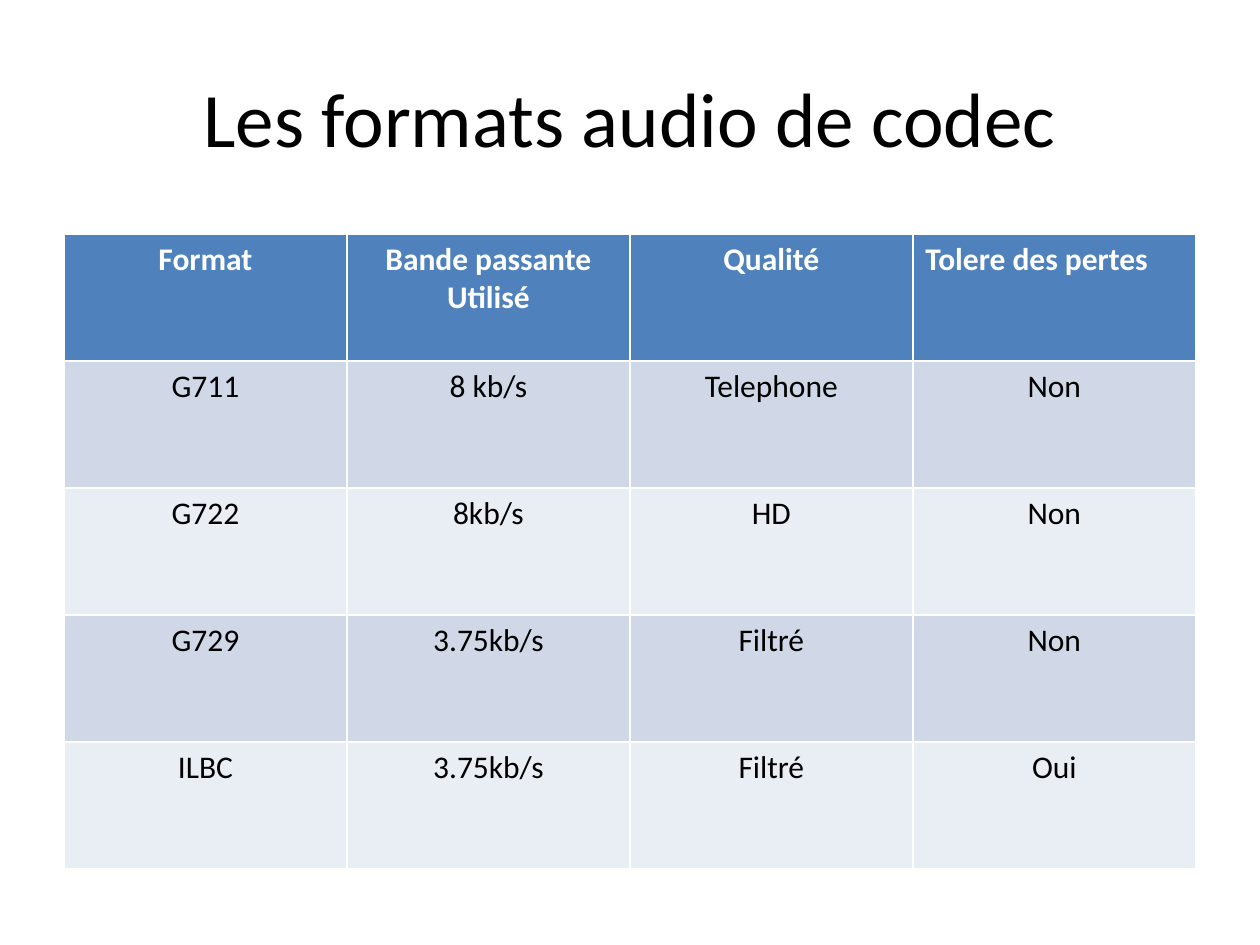
from pptx import Presentation
from pptx.dml.color import RGBColor
from pptx.enum.text import MSO_ANCHOR, PP_ALIGN
from pptx.util import Emu, Pt

WHITE = RGBColor(0xFF, 0xFF, 0xFF)
BLACK = RGBColor(0x00, 0x00, 0x00)
HEADER_BLUE = RGBColor(0x4F, 0x81, 0xBD)
BAND_DARK = RGBColor(0xD0, 0xD8, 0xE8)
BAND_LIGHT = RGBColor(0xE9, 0xED, 0xF4)

FONT = "Calibri"
PX_PER_INCH = 126
TITLE_BOX = (63, 38, 1134, 157)
TABLE_BOX = (64, 234, 1132, 635)

CODECS = [
    ("Format", "Bande passante Utilisé", "Qualité", "Tolere des pertes"),
    ("G711", "8 kb/s", "Telephone", "Non"),
    ("G722", "8kb/s", "HD", "Non"),
    ("G729", "3.75kb/s", "Filtré", "Non"),
    ("ILBC", "3.75kb/s", "Filtré", "Oui"),
]


def px(length):
    return Emu(round(length * 914400 / PX_PER_INCH))


def format_paragraph(paragraph, size, color, align, bold=False):
    paragraph.alignment = align
    font = paragraph.font
    font.name, font.size, font.bold = FONT, Pt(size), bold
    font.color.rgb = color


def place_title(slide, box, text):
    title = slide.shapes.title
    title.left, title.top, title.width, title.height = map(px, box)
    title.text_frame.text = text
    title.text_frame.vertical_anchor = MSO_ANCHOR.MIDDLE
    format_paragraph(title.text_frame.paragraphs[0], 44, BLACK, PP_ALIGN.CENTER)


def place_codec_table(slide, box, rows):
    """Fill the box with equal cells; the default table style draws the white rules."""
    table = slide.shapes.add_table(len(rows), len(rows[0]), *map(px, box)).table
    for r, row in enumerate(rows):
        is_header = r == 0
        fill = HEADER_BLUE if is_header else (BAND_LIGHT, BAND_DARK)[r % 2]
        for c, text in enumerate(row):
            cell = table.cell(r, c)
            cell.fill.solid()
            cell.fill.fore_color.rgb = fill
            cell.text = text
            is_last_header = is_header and c == len(row) - 1
            format_paragraph(
                cell.text_frame.paragraphs[0], 18,
                WHITE if is_header else BLACK,
                PP_ALIGN.LEFT if is_last_header else PP_ALIGN.CENTER,
                bold=is_header,
            )


def main():
    deck = Presentation()
    deck.slide_width, deck.slide_height = px(1260), px(945)
    title_only = deck.slide_layouts[5]
    slide = deck.slides.add_slide(title_only)
    place_title(slide, TITLE_BOX, "Les formats audio de codec")
    place_codec_table(slide, TABLE_BOX, CODECS)
    deck.save("out.pptx")


if __name__ == "__main__":
    main()
